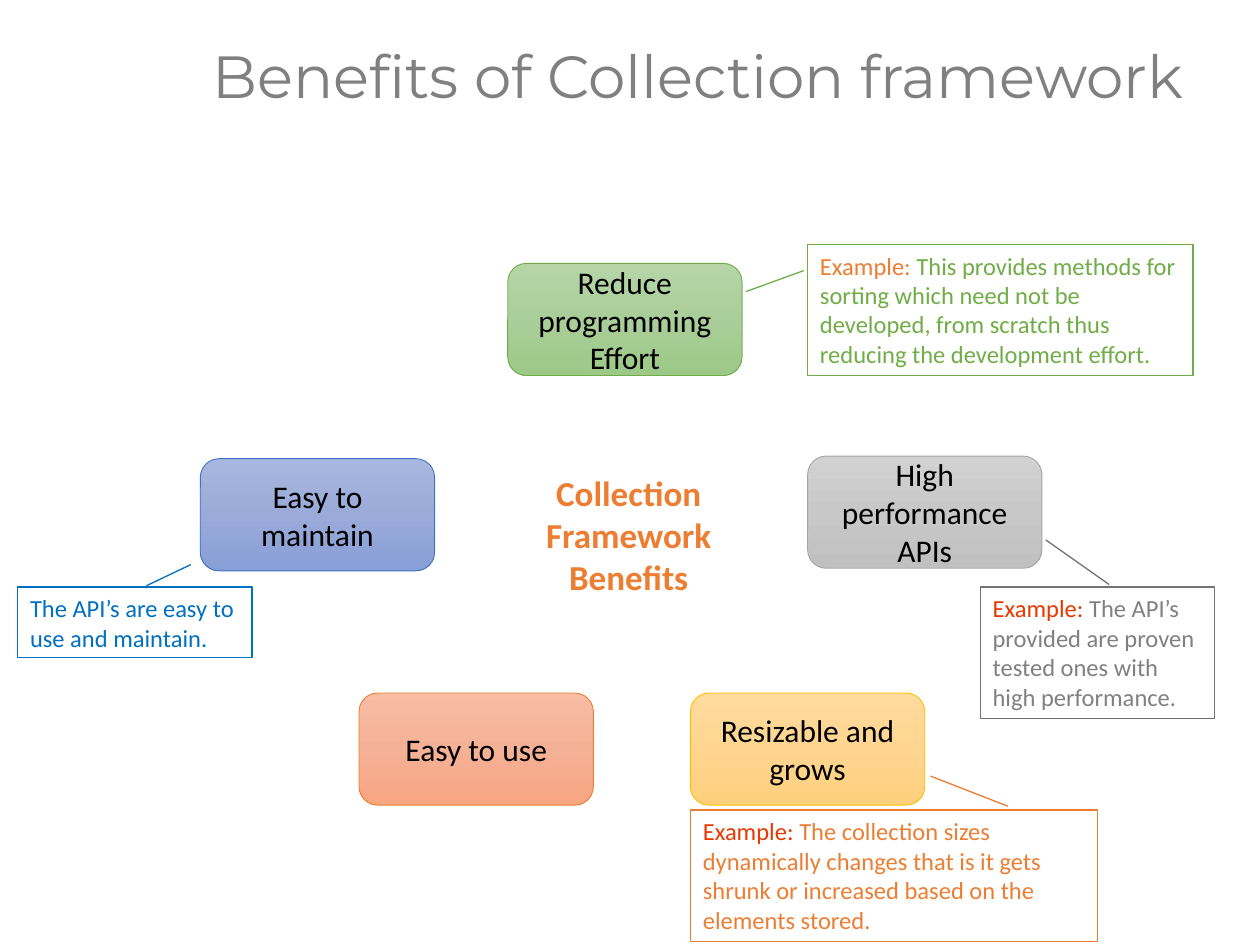
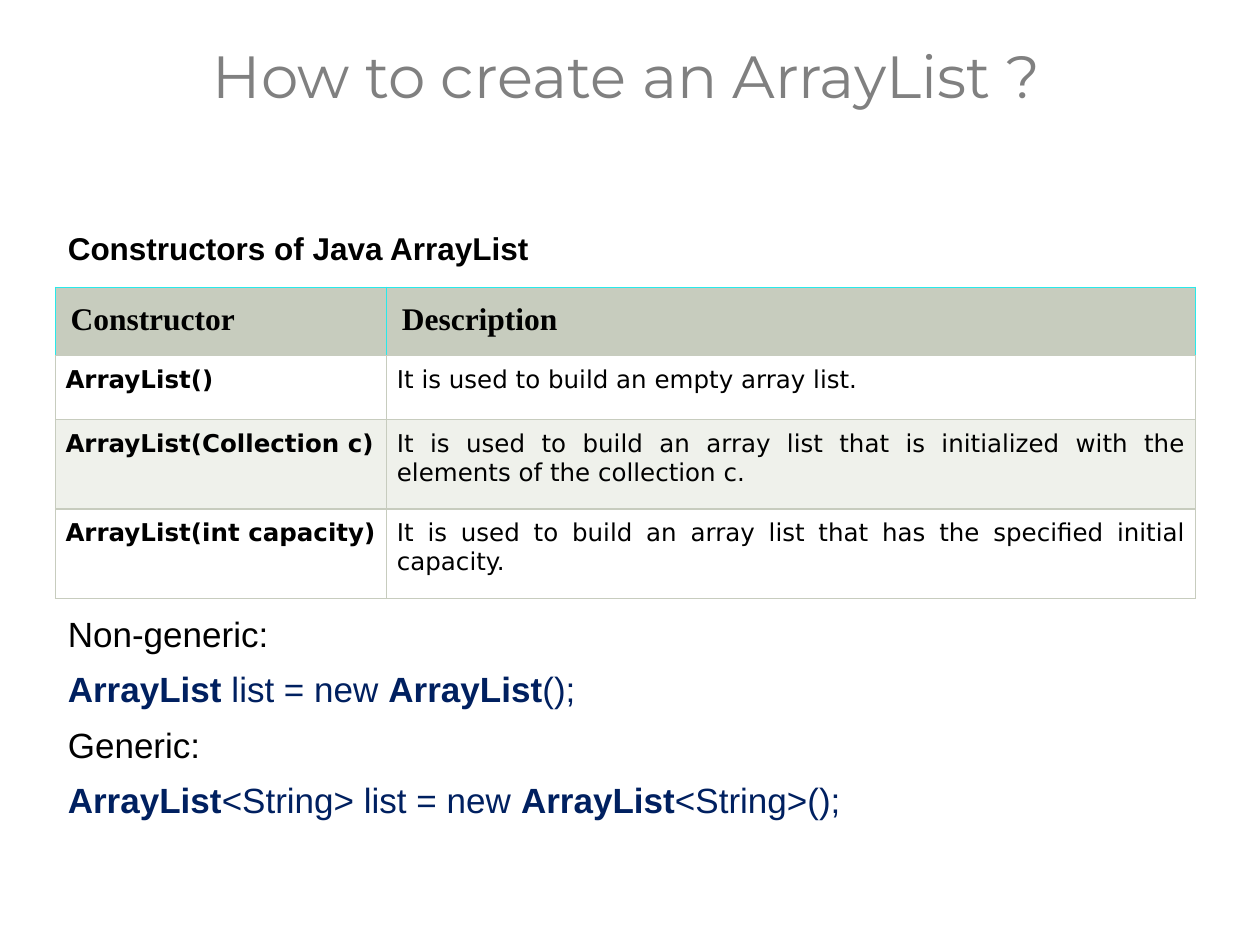
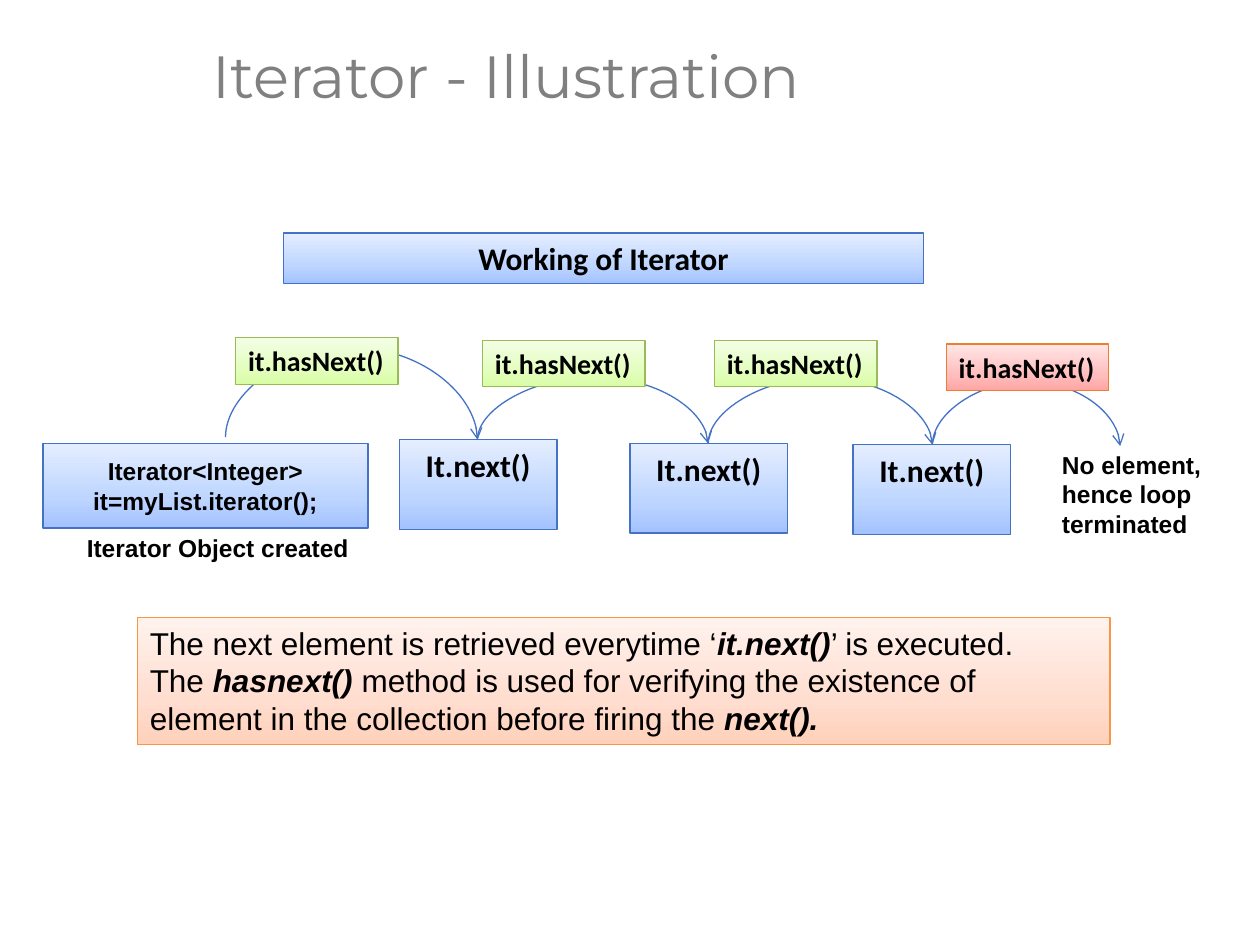
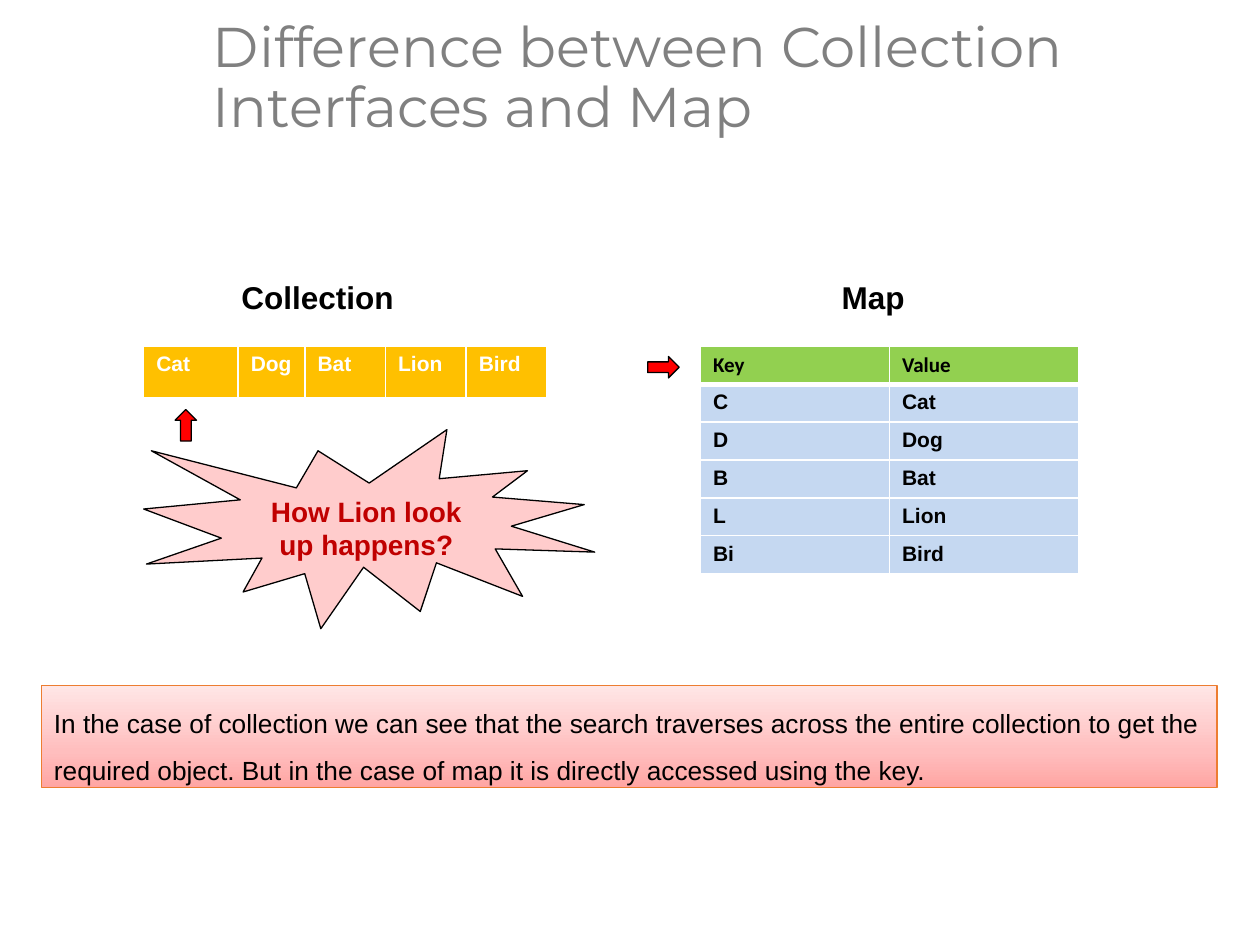
from copy import deepcopy
from dataclasses import dataclass

from lxml import etree
from pptx import Presentation
from pptx.dml.color import RGBColor
from pptx.enum.shapes import MSO_CONNECTOR, MSO_SHAPE
from pptx.enum.text import MSO_ANCHOR, PP_ALIGN
from pptx.oxml.ns import qn
from pptx.util import Pt

PX = 9144
RECTANGLE = MSO_SHAPE.RECTANGLE
ROUNDED = MSO_SHAPE.ROUNDED_RECTANGLE
ELLIPSE = MSO_SHAPE.OVAL
CALLOUT = MSO_SHAPE.LINE_CALLOUT_1
BURST = MSO_SHAPE.EXPLOSION1
UP_ARROW = MSO_SHAPE.UP_ARROW
RIGHT_ARROW = MSO_SHAPE.RIGHT_ARROW
CURVE = MSO_CONNECTOR.CURVE
LEFT, CENTER, JUSTIFY = PP_ALIGN.LEFT, PP_ALIGN.CENTER, PP_ALIGN.JUSTIFY
TOP, MIDDLE = MSO_ANCHOR.TOP, MSO_ANCHOR.MIDDLE


@dataclass(frozen=True)
class Theme:
    heading: str = "Montserrat"
    sans: str = "Arial"
    label: str = "Calibri"
    wide: str = "DejaVu Sans"
    serif: str = "Times New Roman"

    title_size: int = 34
    long_title_size: int = 32
    lead_size: int = 20
    body_size: int = 18
    label_size: int = 16
    summary_size: int = 15
    note_size: int = 14
    cell_size: int = 12

    black: str = "000000"
    white: str = "FFFFFF"
    gray: str = "808080"
    dark_gray: str = "767171"
    silver: str = "A5A5A5"
    green: str = "70AD47"
    olive: str = "9BBB59"
    lime: str = "92D050"
    gold: str = "FFC000"
    orange: str = "ED7D31"
    apricot: str = "F79646"
    vermilion: str = "EA3800"
    red: str = "FF0000"
    dark_red: str = "C00000"
    pink: str = "FFCCCC"
    blue: str = "4472C4"
    bright_blue: str = "0070C0"
    pale_blue: str = "C5D8F1"
    navy: str = "002060"
    cyan: str = "28E9EA"
    sage: str = "C7CCBE"
    pale_sage: str = "EFF1EB"

    green_fade: tuple = ((0, "B5D5A7"), (0.5, "AACE9A"), (1, "9CC987"))
    gray_fade: tuple = ((0, "D2D2D2"), (0.5, "C8C8C8"), (1, "C0C0C0"))
    gold_fade: tuple = ((0, "FFDB9E"), (0.5, "FFD590"), (1, "FFD07C"))
    orange_fade: tuple = ((0, "F7BDA5"), (0.5, "F5B196"), (1, "F8A582"))
    blue_fade: tuple = ((0, "A8B7DF"), (0.5, "9AABD9"), (1, "889ED7"))
    sky_fade: tuple = ((0, "E5EEFF"), (0.65, "BDD5FF"), (1, "A3C2FF"))
    lime_fade: tuple = ((0, "F4FEE6"), (0.65, "E3FEBF"), (1, "D9FDA5"))
    rose_fade: tuple = ((0, "FFE6E6"), (0.65, "FFBEBE"), (1, "FFA5A3"))
    peach_fade: tuple = ((0, "FFF2ED"), (0.65, "FFDDCF"), (1, "FFD1BB"))


theme = Theme()


def write(frame, text, *, size, font=theme.sans, color=theme.black, bold=False,
          align=LEFT, anchor=TOP, spacing=None, gap=0, wrap=True):
    frame.word_wrap = wrap
    frame.vertical_anchor = anchor
    for index, content in enumerate([text] if isinstance(text, str) else text):
        para = frame.add_paragraph() if index else frame.paragraphs[0]
        para.alignment = align
        para.line_spacing = spacing
        if index and gap:
            para.space_before = Pt(gap)
        spans = [(content, {})] if isinstance(content, str) else content
        for words, changes in spans:
            span = para.add_run()
            span.text = words
            span.font.name = font
            span.font.size = Pt(size)
            span.font.bold = changes.get("bold", bold)
            span.font.italic = changes.get("italic", False)
            span.font.color.rgb = RGBColor.from_string(changes.get("color", color))


def add_box(page, bounds, kind=None, fill=None, line=None, width=0.75):
    place = [length * PX for length in bounds]
    if kind is None:
        return page.shapes.add_textbox(*place)
    box = page.shapes.add_shape(kind, *place)
    box.shadow.inherit = False
    if fill is None:
        box.fill.background()
    elif isinstance(fill, str):
        box.fill.solid()
        box.fill.fore_color.rgb = RGBColor.from_string(fill)
    else:
        box.fill.gradient()
        box.fill.gradient_angle = 270
        stop_list = box._element.spPr.find(".//" + qn("a:gsLst"))
        stop_list.append(deepcopy(stop_list[0]))
        for stop, (position, color) in zip(box.fill.gradient_stops, fill):
            stop.position = position
            stop.color.rgb = RGBColor.from_string(color)
    if line is None:
        box.line.fill.background()
    else:
        box.line.color.rgb = RGBColor.from_string(line)
        box.line.width = Pt(width)
    return box


deck = Presentation()
deck.slide_width, deck.slide_height = 1000 * PX, 750 * PX

pages = []
for title, size in [
    ("Benefits of Collection framework", theme.title_size),
    ("How to create an ArrayList ?", theme.title_size),
    ("Iterator - Illustration", theme.title_size),
    ("Difference between Collection Interfaces and Map", theme.long_title_size),
]:
    page = deck.slides.add_slide(deck.slide_layouts[6])
    box = add_box(page, (159, 1, 841, 124))
    write(box.text_frame, title, size=size, font=theme.heading, color=theme.gray,
          anchor=MIDDLE, spacing=0.9)
    pages.append(page)
benefits_page, constructors_page, iterator_page, map_page = pages

for benefit, left, top, fade, line in [
    ("Reduce programming Effort", 403, 209, theme.green_fade, theme.green),
    ("High performance APIs", 641, 362, theme.gray_fade, theme.silver),
    ("Resizable and grows", 548, 550, theme.gold_fade, theme.gold),
    ("Easy to use", 285, 550, theme.orange_fade, theme.orange),
    ("Easy to maintain", 159, 364, theme.blue_fade, theme.blue),
]:
    box = add_box(benefits_page, (left, top, 186, 89), ROUNDED, fade, line, 0.5)
    write(box.text_frame, benefit, size=theme.body_size, font=theme.label,
          align=CENTER, anchor=MIDDLE)

box = add_box(benefits_page, (389, 327, 220, 195), ELLIPSE)
write(box.text_frame, "Collection Framework Benefits", size=theme.lead_size,
      font=theme.label, color=theme.orange, bold=True, align=CENTER, anchor=MIDDLE)

for example_color, note, bounds, pointer, line, color in [
    (theme.orange, "This provides methods for sorting which need not be developed, "
     "from scratch thus reducing the development effort.",
     (641, 194, 306, 104), (0.2, -0.01, 0.36, -0.16), theme.green, theme.green),
    (theme.vermilion, "The API’s provided are proven tested ones with high performance.",
     (778, 466, 186, 104), (-0.02, 0.55, -0.36, 0.28), theme.dark_gray, theme.gray),
    (theme.vermilion, "The collection sizes dynamically changes that is it gets shrunk "
     "or increased based on the elements stored.",
     (548, 643, 323, 104), (-0.03, 0.78, -0.26, 0.59), theme.orange, theme.orange),
    (None, "The API’s are easy to use and maintain.",
     (14, 466, 186, 56), (-0.02, 0.55, -0.32, 0.74), theme.bright_blue, theme.bright_blue),
]:
    box = add_box(benefits_page, bounds, CALLOUT, line=line)
    for index, value in enumerate(pointer):
        box.adjustments[index] = value
    spans = [("Example: ", {"color": example_color})] if example_color else []
    write(box.text_frame, [spans + [(note, {})]], size=theme.note_size,
          font=theme.label, color=color)

box = add_box(constructors_page, (44, 180, 906, 40))
write(box.text_frame, "Constructors of Java ArrayList", size=theme.body_size,
      bold=True, spacing=0.9)

code = {"color": theme.navy}
code_bold = {"color": theme.navy, "bold": True}
box = add_box(constructors_page, (44, 485, 906, 175))
write(box.text_frame, [
    "Non-generic:",
    [("ArrayList", code_bold), (" list = new ", code),
     ("ArrayList", code_bold), ("();", code)],
    "Generic:",
    [("ArrayList", code_bold), ("<String> list = new ", code),
     ("ArrayList", code_bold), ("<String>();", code)],
], size=theme.lead_size, spacing=0.9, gap=10)

next_boxes = []
for left, top in [(317, 349), (500, 352), (677, 353)]:
    box = add_box(iterator_page, (left, top, 125, 71), RECTANGLE,
                  theme.sky_fade, theme.blue)
    write(box.text_frame, "It.next()", size=theme.body_size, font=theme.label,
          bold=True, align=CENTER)
    next_boxes.append(box)

arc_points = [(179, 347), (379, 349), (562, 352), (740, 353), (889, 354)]
arc_rises = [71, 50, 53, 51]
for index, rise in enumerate(arc_rises):
    (start_x, start_y), (end_x, end_y) = arc_points[index:index + 2]
    arc = iterator_page.shapes.add_connector(
        CURVE, start_x * PX, start_y * PX, end_x * PX, end_y * PX)
    if index > 0:
        arc.begin_connect(next_boxes[index - 1], 0)
    if index < len(next_boxes):
        arc.end_connect(next_boxes[index], 0)
    drop, span_width = end_y - start_y, end_x - start_x
    arc.left = (start_x + end_x - drop) * PX // 2
    arc.top = (start_y + end_y - span_width) * PX // 2
    arc.width, arc.height = drop * PX, span_width * PX
    arc.line.color.rgb = RGBColor.from_string(theme.blue)
    arc.line.width = Pt(0.75)
    properties = arc._element.spPr
    frame = properties.find(qn("a:xfrm"))
    frame.set("rot", "16200000")
    frame.set("flipH", "1")
    etree.SubElement(properties.find(".//" + qn("a:avLst")), qn("a:gd"),
                     name="adj1", fmla=f"val {-rise * 100000 // drop}")
    etree.SubElement(properties.find(qn("a:ln")), qn("a:tailEnd"), type="arrow")
    etree.SubElement(properties, qn("a:effectLst"))

for left, top, fade, line in [
    (187, 268, theme.lime_fade, theme.olive),
    (383, 270, theme.lime_fade, theme.olive),
    (567, 270, theme.lime_fade, theme.olive),
    (751, 273, theme.rose_fade, theme.orange),
]:
    box = add_box(iterator_page, (left, top, 129, 37), RECTANGLE, fade, line)
    write(box.text_frame, "it.hasNext()", size=theme.label_size, font=theme.label,
          bold=True, wrap=False)

box = add_box(iterator_page, (59, 418, 229, 34))
write(box.text_frame, "Iterator Object created", size=theme.note_size, bold=True,
      wrap=False)
box = add_box(iterator_page, (833, 352, 133, 81))
write(box.text_frame, "No element, hence loop terminated", size=theme.note_size,
      bold=True)

method = {"bold": True, "italic": True}
box = add_box(iterator_page, (109, 490, 772, 101), RECTANGLE,
              theme.peach_fade, theme.apricot)
write(box.text_frame, [
    [("The next element is retrieved everytime ‘", {}), ("it.next()", method),
     ("’ is executed.", {})],
    [("The ", {}), ("hasnext() ", method),
     ("method is used for verifying the existence of", {})],
    [("element in the collection before firing the ", {}), ("next().", method)],
], size=theme.body_size)

box = add_box(iterator_page, (225, 185, 508, 40), RECTANGLE, theme.sky_fade, theme.blue)
write(box.text_frame, "Working of Iterator", size=theme.body_size, font=theme.label,
      bold=True, align=CENTER)
box = add_box(iterator_page, (34, 352, 258, 67), RECTANGLE, theme.sky_fade, theme.blue)
write(box.text_frame, "Iterator<Integer> it=myList.iterator();", size=theme.note_size,
      bold=True, align=CENTER, anchor=MIDDLE)

for heading, left in [("Collection", 156), ("Map", 597)]:
    box = add_box(map_page, (left, 216, 192, 40))
    write(box.text_frame, heading, size=theme.body_size, bold=True, align=CENTER)

box = add_box(map_page, (114, 341, 358, 158), BURST, theme.pink, theme.black)
write(box.text_frame, "How Lion look up happens?", size=theme.label_size,
      color=theme.dark_red, bold=True, align=CENTER)
add_box(map_page, (139, 325, 17, 25), UP_ARROW, theme.red, theme.black)
add_box(map_page, (514, 283, 25, 17), RIGHT_ARROW, theme.red, theme.black)

box = add_box(map_page, (33, 544, 933, 81), RECTANGLE, theme.rose_fade, theme.orange)
write(box.text_frame, "In the case of collection we can see that the search traverses "
      "across the entire collection to get the required object. But in the case of map "
      "it is directly accessed using the key.", size=theme.summary_size, spacing=1.5)

thin, thick = (theme.white, 1), (theme.white, 3)
sage_line, cyan_line = (theme.sage, 0.75), (theme.cyan, 0.75)
tables = [
    dict(
        page=constructors_page, corner=(44, 228),
        columns=[263, 642], rows=[51, 51, 71, 71],
        cells=[
            ("Constructor", "Description"),
            ("ArrayList()", "It is used to build an empty array list."),
            ("ArrayList(Collection c)", "It is used to build an array list that is "
             "initialized with the elements of the collection c."),
            ("ArrayList(int capacity)", "It is used to build an array list that has "
             "the specified initial capacity."),
        ],
        fills=[theme.sage, theme.white, theme.pale_sage, theme.white],
        margins=[(12, 12)] + [(8, 8)] * 3,
        sides=[cyan_line] + [sage_line] * 3,
        edges=[cyan_line] + [sage_line] * 4,
        head=dict(size=theme.body_size, font=theme.serif),
        body=dict(size=theme.note_size, font=theme.wide, align=JUSTIFY),
        bold_columns=[True, False],
    ),
    dict(
        page=map_page, corner=(114, 275),
        columns=[75, 53, 64, 64, 64], rows=[42],
        cells=[("Cat", "Dog", "Bat", "Lion", "Bird")],
        fills=[theme.gold], margins=[(10, 5)],
        sides=[thin], edges=[thin, thick],
        head=dict(size=theme.cell_size, color=theme.white),
        body={}, bold_columns=[True] * 5,
    ),
    dict(
        page=map_page, corner=(556, 275),
        columns=[150, 150], rows=[30] * 6,
        cells=[("Key", "Value"), ("C", "Cat"), ("D", "Dog"), ("B", "Bat"),
               ("L", "Lion"), ("Bi", "Bird")],
        fills=[theme.lime] + [theme.pale_blue] * 5, margins=[(10, 5)] * 6,
        sides=[thin] * 6, edges=[thin, thick] + [thin] * 5,
        head=dict(size=theme.cell_size, font=theme.label),
        body=dict(size=theme.cell_size), bold_columns=[True, True],
    ),
]
for plan in tables:
    bounds = (*plan["corner"], sum(plan["columns"]), sum(plan["rows"]))
    table = plan["page"].shapes.add_table(
        len(plan["rows"]), len(plan["columns"]),
        *[length * PX for length in bounds]).table
    table.first_row = table.horz_banding = False
    for column, width in zip(table.columns, plan["columns"]):
        column.width = width * PX
    for row_index, texts in enumerate(plan["cells"]):
        table.rows[row_index].height = plan["rows"][row_index] * PX
        side = plan["sides"][row_index]
        upper, lower = plan["edges"][row_index:row_index + 2]
        margin_x, margin_y = plan["margins"][row_index]
        for column_index, text in enumerate(texts):
            cell = table.cell(row_index, column_index)
            cell.margin_left = cell.margin_right = margin_x * PX
            cell.margin_top = cell.margin_bottom = margin_y * PX
            cell.fill.solid()
            cell.fill.fore_color.rgb = RGBColor.from_string(plan["fills"][row_index])
            write(cell.text_frame, text,
                  bold=row_index == 0 or plan["bold_columns"][column_index],
                  **plan["body" if row_index else "head"])
            borders = [("a:lnL", side), ("a:lnR", side), ("a:lnT", upper), ("a:lnB", lower)]
            for position, (tag, (color, width)) in enumerate(borders):
                border = etree.Element(qn(tag), w=str(Pt(width)))
                paint = etree.SubElement(border, qn("a:solidFill"))
                etree.SubElement(paint, qn("a:srgbClr"), val=color)
                cell._tc.get_or_add_tcPr().insert(position, border)

deck.save("out.pptx")
